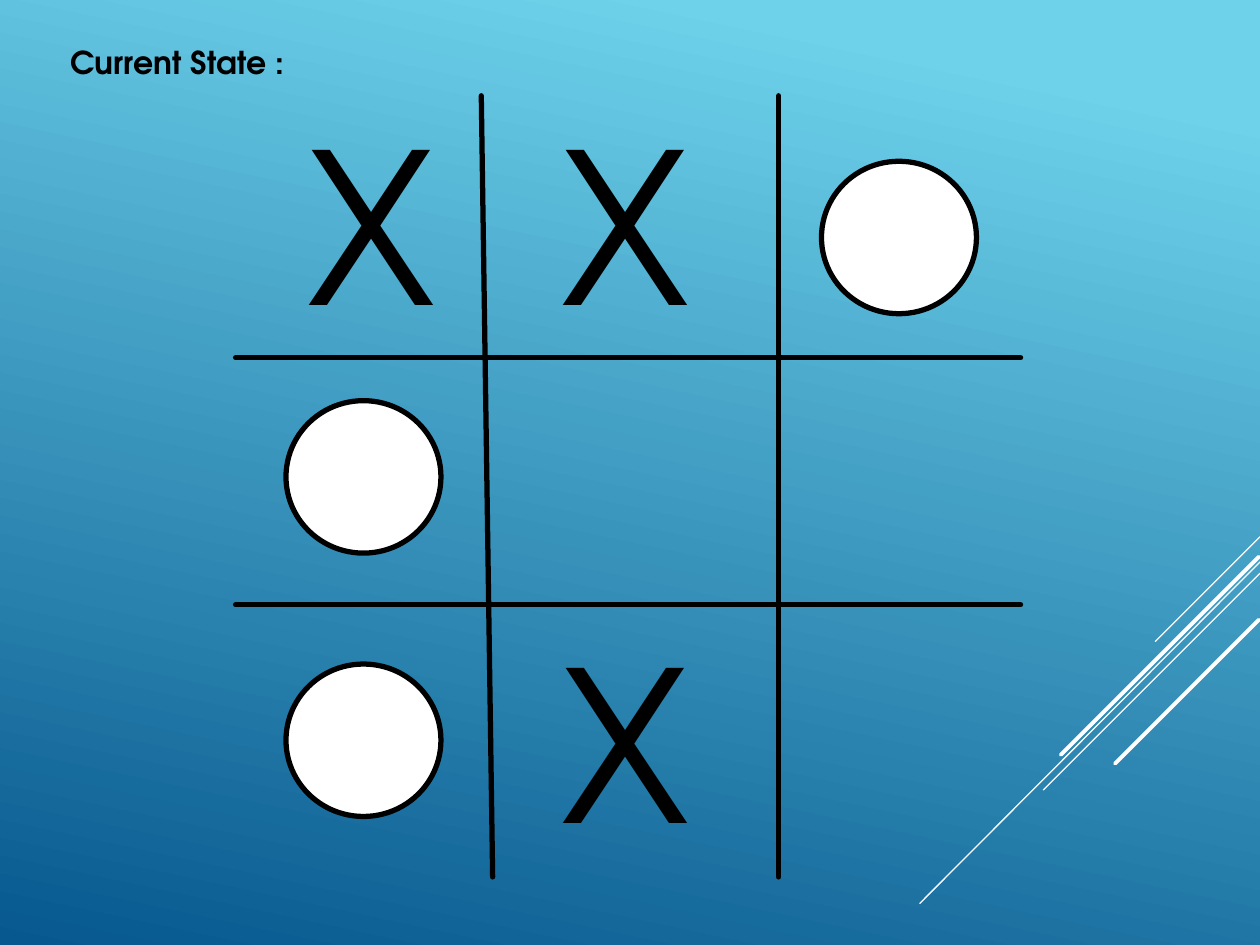
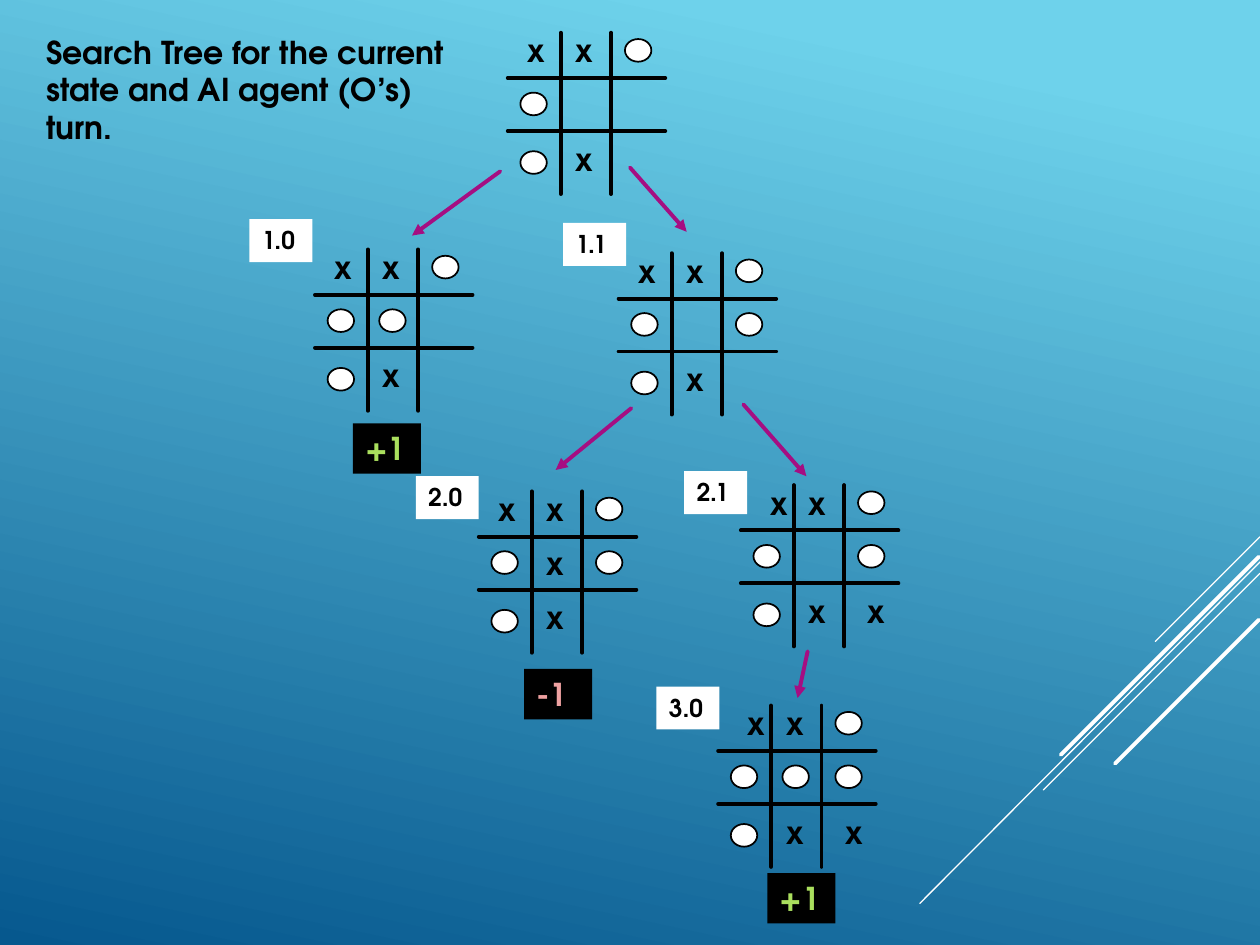
import lxml.etree
import pptx
import pptx.dml.color
import pptx.enum.shapes
import pptx.enum.text
import pptx.oxml.ns
import pptx.util

COLS, ROWS = 100, 75
FONT = "TeX Gyre Adventor"
HUES = {
    "sky": "6ED2EB", "sea": "06588E", "ink": "000000", "white": "FFFFFF",
    "arrow": "A50E82", "win": "AADF5E", "loss": "EEA1A1",
}
OVAL = pptx.enum.shapes.MSO_SHAPE.OVAL
RECT = pptx.enum.shapes.MSO_SHAPE.RECTANGLE

# Diagonal streaks in the corner: start, end, weight
STREAKS = [
    ((100, 42.6), (91.7, 50.9), 0.75),
    ((100, 44.6), (73, 71.7), 0.75),
    ((100, 45.5), (82.8, 62.7), 0.75),
    ((99.9, 44.2), (84.2, 59.9), 2.25),
    ((99.9, 49.2), (88.5, 60.6), 2.25),
]

# Board kits: offsets from the left of the bars and the top of the posts.
# A post is (top x, foot x); disks and marks give one offset per column and row.
LARGE = {
    "posts": [(19.5, 20.4), (43.1, 43.1)], "tall": 62,
    "bars": [20.8, 40.4], "wide": 62.3, "line": 3,
    "disk": (12.3, 12.1), "rim": 3,
    "diskx": (4, 25.2, 46.5), "disky": (5.2, 24.2, 45.1),
    "mark": "X", "size": 120, "bold": False, "box": (15.3, 21.2),
    "markx": (4.7, 24.9, 45), "marky": (-0.5, 20, 40.6),
}
SMALL = {
    "posts": [(4.2, 4.2), (8.2, 8.2)], "tall": 12.8,
    "bars": [3.6, 7.8], "wide": 12.5, "line": 2.25,
    "disk": (2.1, 1.8), "rim": 1,
    "diskx": (1, 5.1, 9.3), "disky": (0.5, 4.75, 9.4),
    "mark": "x", "size": 18, "bold": True, "box": (3.3, 4),
    "markx": (0.6, 4.4, 9.1), "marky": (-0.6, 3.7, 8),
}

# Search tree: left, top, cells by row, shift of the first mark
TREE = [
    (40.3, 2.6, "XXO O-- OX-", 0),
    (25, 19.8, "XXO OO- OX-", 0),
    (49.1, 20.1, "XXO O-O OX-", 0),
    (38, 39, "XXO OXO OX-", 0),
    (58.8, 38.5, "XXO O-O OXX", 0.75),
    (57, 56, "XXO OOO OXX", 0.75),
]
ARROWS = [
    ((39.7, 13.6), (32.7, 18.7)),
    ((50, 13.3), (54.5, 18.4)),
    ((50.1, 32.4), (44.1, 37.3)),
    ((59, 32.1), (64, 37.8)),
    ((64.1, 51.7), (63.3, 55.4)),
]
NODES = [
    (19.8, 17.4, "1.0"), (44.7, 17.7, "1.1"), (33, 37.8, "2.0"),
    (54.3, 37.4, "2.1"), (52.1, 54.5, "3.0"),
]
SCORES = [
    (28, 33.6, "+1", "win"), (41.6, 53.1, "-1", "loss"), (60.9, 69.3, "+1", "win"),
]


def tint(name):
    return pptx.dml.color.RGBColor.from_string(HUES[name])


class Deck:
    def __init__(self):
        self.prs = pptx.Presentation()
        self.prs.slide_width = pptx.util.Inches(10)
        self.prs.slide_height = pptx.util.Inches(7.5)
        self.slide = None

    def spot(self, x, y):
        """Turn grid columns and rows into slide lengths."""
        return (round(self.prs.slide_width * x / COLS),
                round(self.prs.slide_height * y / ROWS))

    def start(self):
        """Add a slide with the shared gradient and streaks."""
        self.slide = self.prs.slides.add_slide(self.prs.slide_layouts[6])
        fill = self.slide.background.fill
        fill.gradient()
        fill.gradient_angle = 258
        for stop, place, hue in zip(fill.gradient_stops, (0.1, 1), ("sky", "sea")):
            stop.position = place
            stop.color.rgb = tint(hue)
        for head, foot, weight in STREAKS:
            self.line(head, foot, weight, "white")

    def line(self, head, foot, weight, hue="ink", arrow=False):
        kind = pptx.enum.shapes.MSO_CONNECTOR.STRAIGHT
        link = self.slide.shapes.add_connector(
            kind, *self.spot(*head), *self.spot(*foot))
        link.line.width = pptx.util.Pt(weight)
        link.line.color.rgb = tint(hue)
        qn = pptx.oxml.ns.qn
        props = link._element.spPr
        edge = props.find(qn("a:ln"))
        edge.set("cap", "rnd")
        if arrow:
            lxml.etree.SubElement(edge, qn("a:tailEnd"), type="triangle")
        lxml.etree.SubElement(props, qn("a:effectLst"))

    def label(self, shape, words, size, hue="ink", bold=True):
        frame = shape.text_frame
        frame.word_wrap = True
        frame.vertical_anchor = pptx.enum.text.MSO_ANCHOR.TOP
        para = frame.paragraphs[0]
        para.text = words
        para.alignment = pptx.enum.text.PP_ALIGN.LEFT
        para.font.name = FONT
        para.font.size = pptx.util.Pt(size)
        para.font.bold = bold
        para.font.color.rgb = tint(hue)

    def text(self, x, y, wide, tall, words, size=18, bold=True):
        box = self.slide.shapes.add_textbox(*self.spot(x, y), *self.spot(wide, tall))
        self.label(box, words, size, bold=bold)

    def shape(self, kind, x, y, wide, tall, hue, rim=0):
        form = self.slide.shapes.add_shape(
            kind, *self.spot(x, y), *self.spot(wide, tall))
        form.shadow.inherit = False
        form.fill.solid()
        form.fill.fore_color.rgb = tint(hue)
        if rim:
            form.line.width = pptx.util.Pt(rim)
            form.line.color.rgb = tint("ink")
        else:
            form.line.fill.background()
        return form

    def tag(self, x, y, wide, tall, words, size, back, hue):
        form = self.shape(RECT, x, y, wide, tall, back)
        self.label(form, words, size, hue)

    def board(self, kit, x, y, cells, shift=0):
        for head, foot in kit["posts"]:
            self.line((x + head, y), (x + foot, y + kit["tall"]), kit["line"])
        for bar in kit["bars"]:
            self.line((x, y + bar), (x + kit["wide"], y + bar), kit["line"])
        for r, row in enumerate(cells.split()):
            for c, cell in enumerate(row):
                if cell == "O":
                    self.shape(OVAL, x + kit["diskx"][c], y + kit["disky"][r],
                               *kit["disk"], "white", kit["rim"])
                elif cell == "X":
                    push = shift if r == c == 0 else 0
                    self.text(x + kit["markx"][c] + push, y + kit["marky"][r],
                              *kit["box"], kit["mark"], kit["size"], kit["bold"])


def main():
    deck = Deck()

    # Current state
    deck.start()
    deck.board(LARGE, 18.7, 7.6, "XXO O-- OX-")
    deck.text(4.6, 2.9, 32.3, 4, "Current State :")

    # Search tree
    deck.start()
    for x, y, cells, shift in TREE:
        deck.board(SMALL, x, y, cells, shift)
    for x, y, words, hue in SCORES:
        deck.tag(x, y, 5.4, 4, words, 18, "ink", hue)
    for head, foot in ARROWS:
        deck.line(head, foot, 2.25, "arrow", arrow=True)
    for x, y, words in NODES:
        deck.tag(x, y, 5, 3.4, words, 14, "white", "ink")
    deck.text(2.7, 2.1, 35.1, 10.1,
              "Search Tree for the current state and AI agent (O’s) turn.")

    deck.prs.save("out.pptx")


if __name__ == "__main__":
    main()
